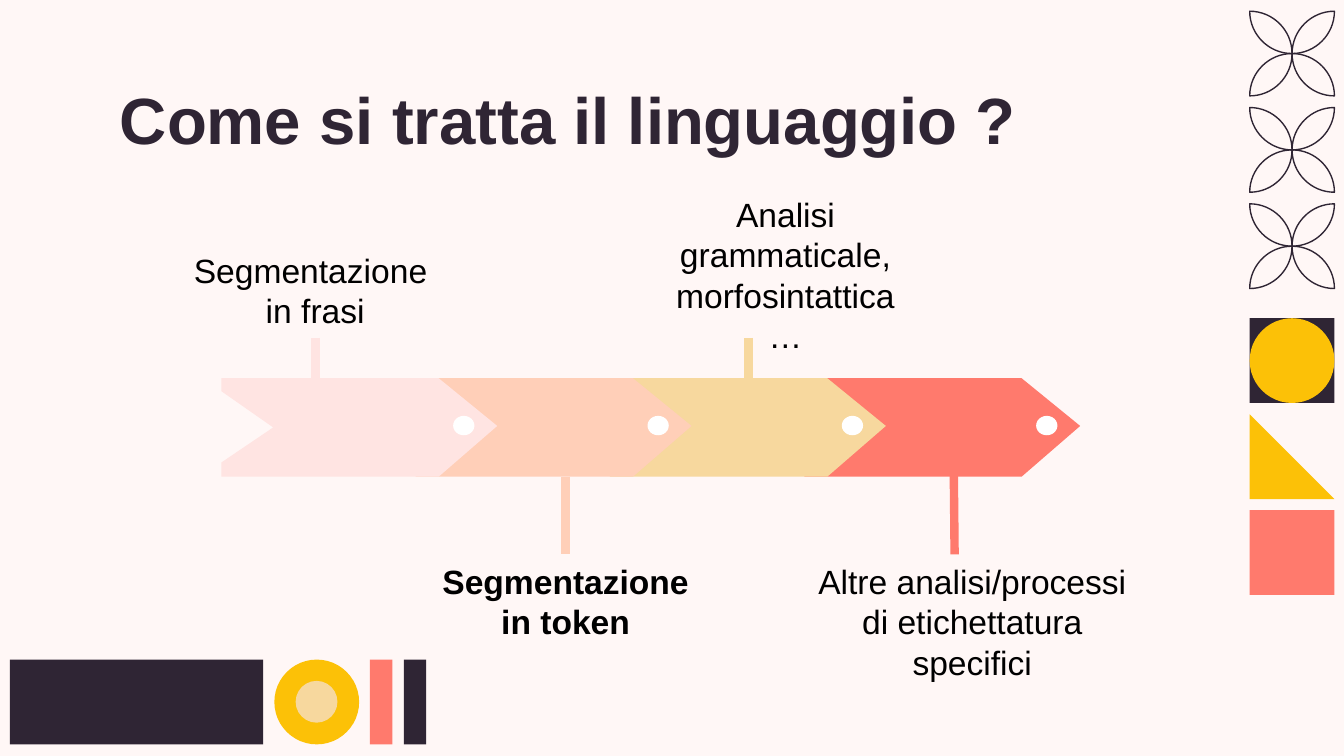
"""Build the slide on the steps of language processing."""
import pptx
import pptx.dml.color
import pptx.enum.shapes
import pptx.enum.text
import pptx.oxml.ns
import pptx.util
from pptx.util import Pt

COLORS = {
    "background": "FFF7F6",
    "dark": "2F2534",
    "coral": "FF7A6D",
    "yellow": "FCC107",
    "sand": "F7D89E",
    "peach": "FFCFB8",
    "pink": "FFE4E2",
    "white": "FFFFFF",
    "black": "000000",
}
FONT = "Arial"
SHAPES = pptx.enum.shapes.MSO_SHAPE
TILE = 45.4
COLUMN_LEFT = 669.5
ROW_TOP = 353.4
STEP_LEFT = 118.6
STEP_PITCH = 104.1


def rgb(name):
    """Return the named colour."""
    return pptx.dml.color.RGBColor.from_string(COLORS[name])


def add_solid(parent, kind, left, top, width, height, color):
    """Add a filled preset shape without outline."""
    shape = parent.shapes.add_shape(kind, Pt(left), Pt(top), Pt(width), Pt(height))
    shape.shadow.inherit = False
    shape.fill.solid()
    shape.fill.fore_color.rgb = rgb(color)
    shape.line.fill.background()


def add_outline(parent, points):
    """Add a closed freeform through points."""
    (left, top), *others = points
    builder = parent.shapes.build_freeform(Pt(left), Pt(top))
    builder.add_line_segments([(Pt(x), Pt(y)) for x, y in others], close=True)
    shape = builder.convert_to_shape()
    shape.shadow.inherit = False
    return shape


def bend_outline(shape):
    """Turn each three line segments of a freeform into one cubic curve."""
    qn = pptx.oxml.ns.qn
    segments = list(shape._element.iter(qn("a:lnTo")))
    for start in range(0, len(segments), 3):
        first = segments[start]
        curve = first.makeelement(qn("a:cubicBezTo"), {})
        first.addprevious(curve)
        for segment in segments[start:start + 3]:
            curve.append(segment[0])
            segment.getparent().remove(segment)


def add_petal(parent, x, y, side_x, side_y):
    """Add a petal made of two quarter arcs from the flower centre to a corner."""
    radius = TILE / 2
    controls = [(0, 0), (0.55, 0), (1, 0.45), (1, 1), (0.45, 1), (0, 0.55), (0, 0)]
    petal = add_outline(parent, [
        (x + side_x * radius * u, y + side_y * radius * v) for u, v in controls
    ])
    bend_outline(petal)
    petal.fill.background()
    petal.line.color.rgb = rgb("dark")
    petal.line.width = Pt(0.75)


def add_flower(page, top):
    """Add a group of four petals around the centre of a tile."""
    flower = page.shapes.add_group_shape()
    for side_x in (-1, 1):
        for side_y in (-1, 1):
            add_petal(flower, COLUMN_LEFT + TILE / 2, top + TILE / 2, side_x, side_y)


def add_step(parent, index, color):
    """Add one notched arrow of the process with its dot."""
    left = STEP_LEFT + STEP_PITCH * index
    outline = [(0, 202.6), (0, 209.6), (27.8, 229), (0, 247.8),
               (0, 255.4), (116.4, 255.4), (147.8, 228.2), (116.4, 202.6)]
    arrow = add_outline(parent, [(left + x, y) for x, y in outline])
    arrow.fill.solid()
    arrow.fill.fore_color.rgb = rgb(color)
    arrow.line.fill.background()
    add_solid(parent, SHAPES.OVAL, left + 124.2, 222.8, 11.4, 10.4, "white")


def add_label(page, left, top, width, height, lines, bold=False):
    """Add a centred step label."""
    box = page.shapes.add_textbox(Pt(left), Pt(top), Pt(width), Pt(height))
    frame = box.text_frame
    frame.word_wrap = True
    frame.auto_size = pptx.enum.text.MSO_AUTO_SIZE.SHAPE_TO_FIT_TEXT
    frame.text = "\n".join(lines)
    for para in frame.paragraphs:
        para.alignment = pptx.enum.text.PP_ALIGN.CENTER
        para.font.name = FONT
        para.font.size = Pt(18)
        para.font.bold = bold
        para.font.color.rgb = rgb("black")


def add_stem(page, start, end, color):
    """Add the line between a step and its label."""
    ends = [Pt(value) for value in (*start, *end)]
    stem = page.shapes.add_connector(pptx.enum.shapes.MSO_CONNECTOR.STRAIGHT, *ends)
    stem.line.color.rgb = rgb(color)
    stem.line.width = Pt(4.5)
    properties = stem._element.spPr
    properties.append(properties.makeelement(pptx.oxml.ns.qn("a:effectLst"), {}))


def format_title(page, text):
    """Place and format the title placeholder."""
    title = page.shapes.title
    title.left, title.top, title.width, title.height = Pt(57), Pt(35.4), Pt(607), Pt(45.4)
    frame = title.text_frame
    frame.text = text
    frame.word_wrap = True
    frame.auto_size = pptx.enum.text.MSO_AUTO_SIZE.NONE
    frame.vertical_anchor = pptx.enum.text.MSO_ANCHOR.TOP
    frame.margin_left = frame.margin_right = Pt(7.2)
    frame.margin_top = frame.margin_bottom = Pt(7.2)
    para = frame.paragraphs[0]
    para.alignment = pptx.enum.text.PP_ALIGN.LEFT
    para.font.name = FONT
    para.font.size = Pt(35)
    para.font.bold = True
    para.font.color.rgb = rgb("dark")


def add_decorations(page):
    """Add the bottom row and the right column of ornaments."""
    for kind, left, width, color in (
        (SHAPES.RECTANGLE, 5.3, 135.7, "dark"),
        (SHAPES.OVAL, 147, TILE, "yellow"),
        (SHAPES.RECTANGLE, 198.2, 12, "coral"),
        (SHAPES.RECTANGLE, 216.3, 12, "dark"),
    ):
        add_solid(page, kind, left, ROW_TOP, width, TILE, color)
    add_solid(page, SHAPES.OVAL, 158.4, 364.8, 22.4, 22.4, "sand")
    for index in range(3):
        add_flower(page, 6 + 51.6 * index)
    for kind, top, color in (
        (SHAPES.RECTANGLE, 170.5, "dark"),
        (SHAPES.OVAL, 170.5, "yellow"),
        (SHAPES.RIGHT_TRIANGLE, 222, "yellow"),
        (SHAPES.RECTANGLE, 273.3, "coral"),
    ):
        add_solid(page, kind, COLUMN_LEFT, top, TILE, TILE, color)


def main():
    """Build and save the deck."""
    deck = pptx.Presentation()
    deck.slide_width, deck.slide_height = Pt(720), Pt(405)
    page = deck.slides.add_slide(deck.slide_layouts[5])
    page.background.fill.solid()
    page.background.fill.fore_color.rgb = rgb("background")
    add_decorations(page)
    format_title(page, "Come si tratta il linguaggio ?")

    steps = ("pink", "peach", "sand", "coral")
    process = page.shapes.add_group_shape()
    for index, color in reversed(list(enumerate(steps))):
        add_step(process, index, color)
    add_label(page, 83.6, 130.3, 170.6, 51, ["Segmentazione ", "in frasi"])
    add_label(page, 229.2, 296.9, 147.6, 51, ["Segmentazione ", "in token"], bold=True)
    add_label(page, 347, 100.4, 147.6, 94.3, ["Analisi grammaticale, morfosintattica…"])
    add_label(page, 430.9, 296.9, 180, 72.7,
              ["Altre analisi/processi di etichettatura specifici"])
    stems = (
        ((169, 181), (169, 210)),
        ((303, 255.4), (303, 296.8)),
        ((401, 181), (401, 219)),
        ((511, 254.4), (511.4, 297)),
    )
    for (start, end), color in zip(stems, steps):
        add_stem(page, start, end, color)
    deck.save("out.pptx")


if __name__ == "__main__":
    main()
